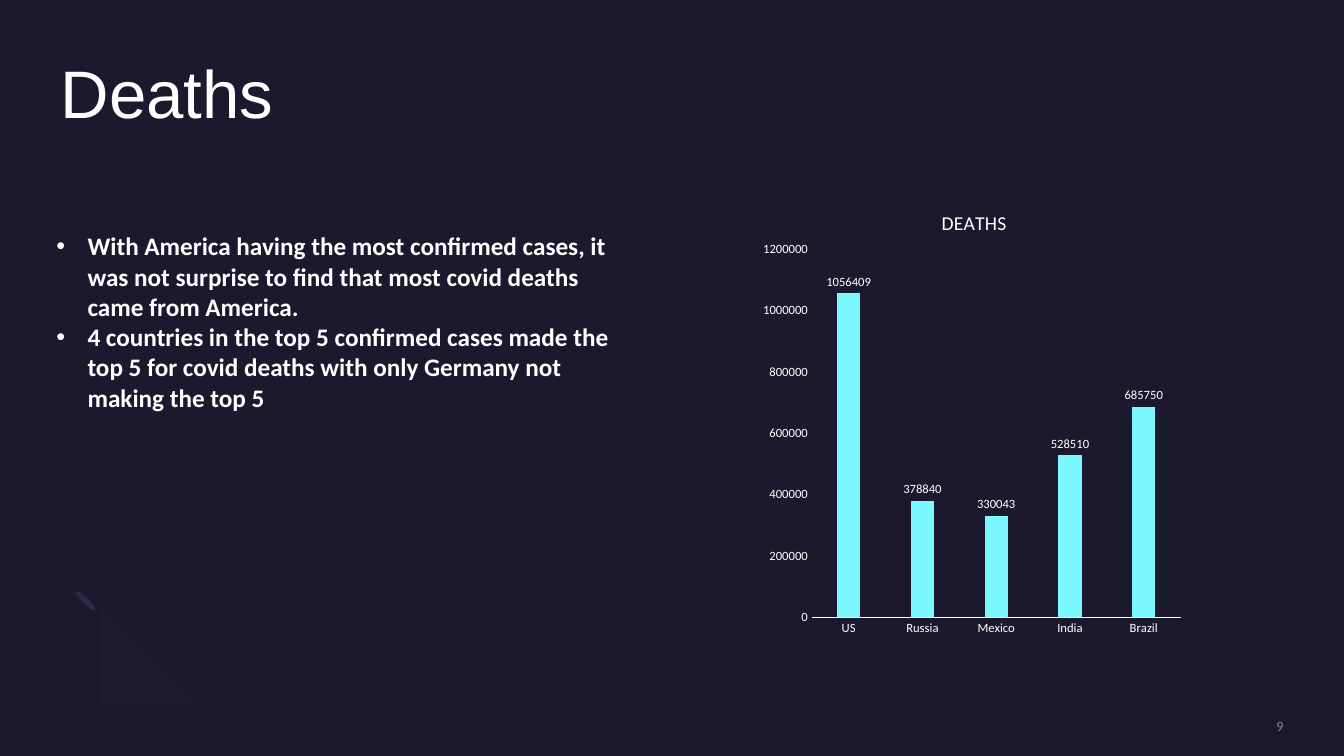
"""Build the slide on deaths: two bullet points beside a column chart."""
from lxml import etree
from pptx import Presentation
from pptx.chart.data import CategoryChartData
from pptx.dml.color import RGBColor
from pptx.enum import chart as charts, shapes, text
from pptx.oxml import ns
from pptx.util import Inches, Pt

TITLE = "Deaths"
PAGE_NUMBER = "9"
POINTS = [
    "With America having the most confirmed cases, it was not surprise to find that most covid deaths came from America.",
    "4 countries in the top 5 confirmed cases made the top 5 for covid deaths with only Germany not making the top 5",
]
CHART_TITLE = "DEATHS"
DEATHS = {"US": 1056409, "Russia": 378840, "Mexico": 330043, "India": 528510, "Brazil": 685750}

BACKGROUND, WHITE, COLUMN, ELLIPSE, ARC, GREY = "1B192E", "FFFFFF", "7CF7FE", "2C284A", "1D1B31", "8A8A8E"
ELLIPSES = [(1.35, 6.37), (0.82, 5.83)]
OUTER_ARC = [(0.76, 6.59), (0.56, 6.39), (0.58, 6.05), (0.81, 5.82)]
INNER_ARC = [
    [(0.99, 6), (0.87, 6.11), (0.86, 6.29), (0.96, 6.38)],
    [(0.96, 6.38), (1.06, 6.48), (1.23, 6.47), (1.35, 6.36)],
]
LAST_ARC = [(1.52, 6.54), (1.3, 6.76), (0.95, 6.79), (0.76, 6.59)]
PLOT_LAYOUT = {"layoutTarget": "inner", "xMode": "edge", "yMode": "edge",
               "x": 0.13, "y": 0.144, "w": 0.847, "h": 0.794}
TITLE_LAYOUT = {"xMode": "edge", "yMode": "edge", "x": 0.42, "y": 0.05}


def color(value):
    return RGBColor.from_string(value)


def set_font(font, size, fill, **extra):
    for name, value in {"size": Pt(size), "bold": False, "name": "Calibri", **extra}.items():
        setattr(font, name, value)
    font.color.rgb = color(fill)


def paint(shape, fill):
    shape.shadow.inherit = False
    shape.fill.solid()
    shape.fill.fore_color.rgb = color(fill)
    shape.line.fill.background()


def curve(controls, steps=12):
    a, b, c, d = controls
    for step in range(steps + 1):
        t = step / steps
        s = 1 - t
        yield tuple(s**3 * a[i] + 3 * s * s * t * b[i] + 3 * s * t * t * c[i] + t**3 * d[i] for i in (0, 1))


def add_decoration(page):
    for left, top in ELLIPSES:
        ellipse = page.shapes.add_shape(
            shapes.MSO_SHAPE.OVAL, Inches(left), Inches(top), Inches(0.06), Inches(0.26))
        ellipse.rotation = 135
        paint(ellipse, ELLIPSE)
    outline = [point for controls in (OUTER_ARC, *INNER_ARC, LAST_ARC) for point in curve(controls)]
    builder = page.shapes.build_freeform(*outline[0], scale=Inches(1))
    builder.add_line_segments(outline[1:], close=True)
    paint(builder.convert_to_shape(), ARC)


def place_text(shape, box, lines, size, fill, inset=None, **extra):
    shape.left, shape.top, shape.width, shape.height = map(Inches, box)
    frame = shape.text_frame
    frame.word_wrap = True
    if inset is not None:
        for side in ("left", "top", "right", "bottom"):
            setattr(frame, f"margin_{side}", Inches(inset))
    frame.text = "\n".join(lines)
    for para in frame.paragraphs:
        set_font(para.runs[0].font, size, fill, **extra)
    return frame


def add_bullet(para):
    properties = para._p.get_or_add_pPr()
    properties.set("marL", str(Inches(0.31)))
    properties.set("indent", str(-Inches(0.31)))
    etree.SubElement(properties, ns.qn("a:buFont")).set("typeface", "Arial")
    etree.SubElement(properties, ns.qn("a:buChar")).set("char", "•")


def set_layout(parent, values, index):
    for old in parent.findall(ns.qn("c:layout")):
        parent.remove(old)
    layout = etree.Element(ns.qn("c:layout"))
    manual = etree.SubElement(layout, ns.qn("c:manualLayout"))
    for name, value in values.items():
        etree.SubElement(manual, ns.qn(f"c:{name}")).set("val", str(value))
    parent.insert(index, layout)


def add_deaths_chart(page):
    data = CategoryChartData(number_format="General")
    data.categories = list(DEATHS)
    data.add_series("Series 1", list(DEATHS.values()))
    chart = page.shapes.add_chart(
        charts.XL_CHART_TYPE.COLUMN_CLUSTERED, *map(Inches, (7.49, 1.81, 4.32, 4.6)), data).chart
    set_font(chart.font, 10, WHITE)
    chart.has_legend = False
    chart.has_title = True
    heading = chart.chart_title.text_frame
    heading.text = CHART_TITLE
    set_font(heading.paragraphs[0].runs[0].font, 14, WHITE)
    set_layout(chart.chart_title._element, TITLE_LAYOUT, 1)
    set_layout(chart._chartSpace.chart.plotArea, PLOT_LAYOUT, 0)

    for axis in (chart.category_axis, chart.value_axis):
        axis.has_major_gridlines = False
        axis.major_tick_mark = axis.minor_tick_mark = charts.XL_TICK_MARK.NONE
        set_font(axis.tick_labels.font, 9, WHITE)
    chart.category_axis.format.line.color.rgb = color(WHITE)
    chart.category_axis.format.line.width = Pt(0.75)
    chart.value_axis.format.line.fill.background()
    chart.value_axis.minimum_scale, chart.value_axis.maximum_scale = 0, 1200000
    chart.value_axis.major_unit = 200000

    plot = chart.plots[0]
    plot.gap_width, plot.overlap, plot.vary_by_categories = 219, -27, False
    series = plot.series[0]
    series.format.fill.solid()
    series.format.fill.fore_color.rgb = color(COLUMN)
    labels = series.data_labels
    labels.show_value = True
    labels.position = charts.XL_LABEL_POSITION.OUTSIDE_END
    set_font(labels.font, 9, WHITE)


def main():
    deck = Presentation()
    deck.slide_width, deck.slide_height = Inches(13.33), Inches(7.5)
    page = deck.slides.add_slide(deck.slide_layouts[5])
    page.background.fill.solid()
    page.background.fill.fore_color.rgb = color(BACKGROUND)
    add_decoration(page)

    title = place_text(page.shapes.title, (0.6, 0.6, 12.13, 1.46), [TITLE], 48, WHITE, 0, name="Arial")
    title.vertical_anchor = text.MSO_ANCHOR.TOP
    title.paragraphs[0].alignment = text.PP_ALIGN.LEFT
    title.paragraphs[0].line_spacing = 0.9

    number = place_text(page.shapes.add_textbox(0, 0, 0, 0), (10.88, 7.12, 1.85, 0.17),
                        [PAGE_NUMBER], 10, GREY, 0)
    number.vertical_anchor = text.MSO_ANCHOR.MIDDLE
    number.paragraphs[0].alignment = text.PP_ALIGN.RIGHT

    points = place_text(page.shapes.add_textbox(0, 0, 0, 0), (0.46, 2.24, 5.89, 1.92),
                        POINTS, 18, WHITE, bold=True)
    for para in points.paragraphs:
        add_bullet(para)

    add_deaths_chart(page)
    deck.save("out.pptx")


if __name__ == "__main__":
    main()
